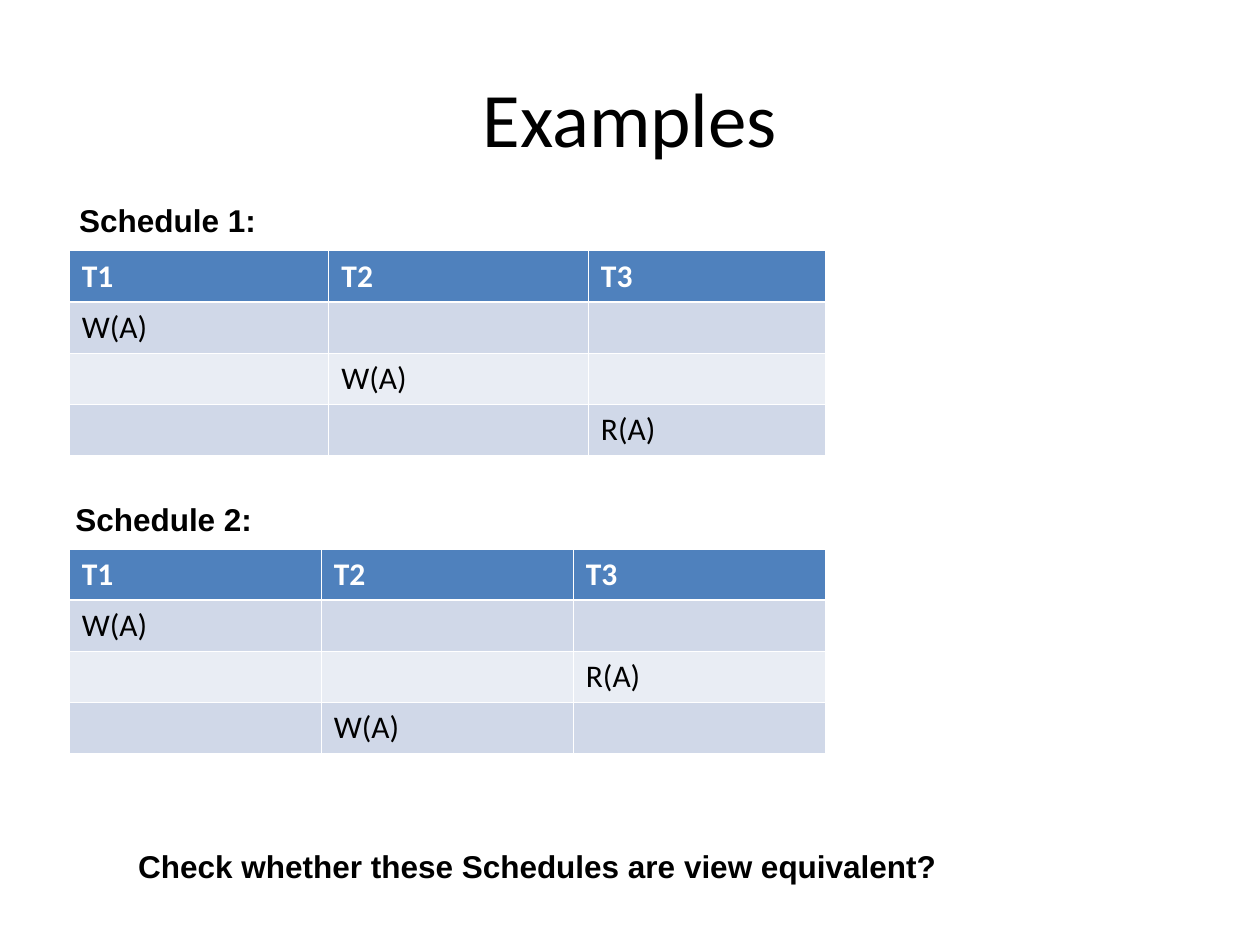
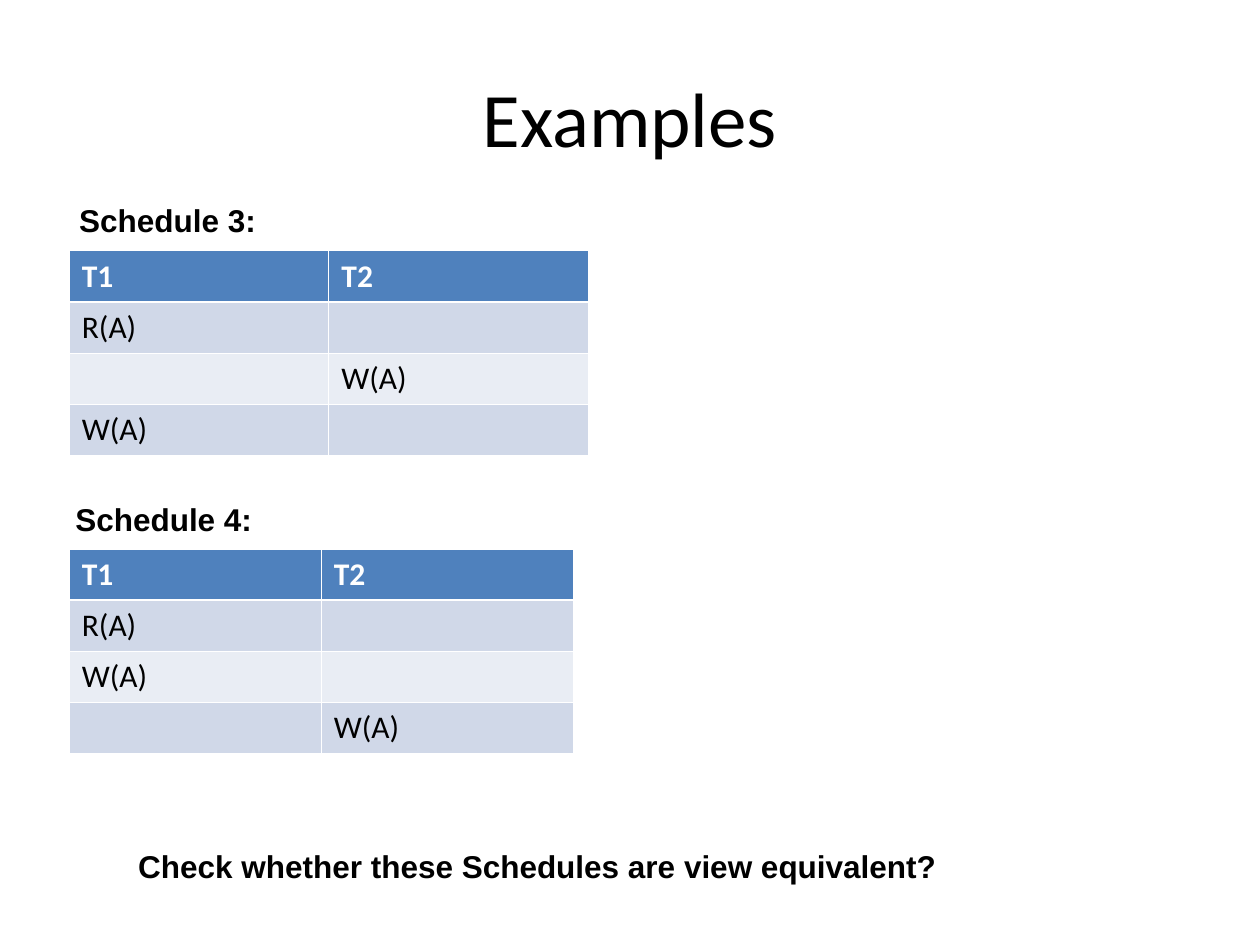
from lxml.etree import SubElement
from pptx import Presentation
from pptx.dml.color import RGBColor
from pptx.enum.text import MSO_ANCHOR, PP_ALIGN
from pptx.oxml.ns import qn
from pptx.util import Inches, Pt

# Content: each schedule is a label, its transactions and (transaction, operation) steps
TITLE = "Examples"
QUESTION = "Check whether these Schedules are view equivalent?"
SLIDES = [
    [
        ("Schedule 1:", ["T1", "T2", "T3"],
         [("T1", "W(A)"), ("T2", "W(A)"), ("T3", "R(A)")]),
        ("Schedule 2:", ["T1", "T2", "T3"],
         [("T1", "W(A)"), ("T3", "R(A)"), ("T2", "W(A)")]),
    ],
    [
        ("Schedule 3:", ["T1", "T2"],
         [("T1", "R(A)"), ("T2", "W(A)"), ("T1", "W(A)")]),
        ("Schedule 4:", ["T1", "T2"],
         [("T1", "R(A)"), ("T1", "W(A)"), ("T2", "W(A)")]),
    ],
]

# Shared style
BLACK = RGBColor(0x00, 0x00, 0x00)
WHITE = RGBColor(0xFF, 0xFF, 0xFF)
HEADER_BLUE = RGBColor(0x4F, 0x81, 0xBD)
BANDS = [RGBColor(0xE9, 0xED, 0xF4), RGBColor(0xD0, 0xD8, 0xE8)]
TITLE_FONT, LABEL_FONT = "Calibri", "Arial"
THIN, THICK = 0.45, 1.47

# Upper and lower place: label box, table top, column widths (inches)
TABLE_LEFT = 0.55
ROW_HEIGHT = 0.405
PLACES = [
    ((0.53, 1.55, 4.01, 0.7), 1.99, [2.06, 2.06, 1.88]),
    ((0.5, 3.92, 7.17, 0.4), 4.36, [2, 2, 2]),
]
QUESTION_BOX = (0.53, 6.67, 7.47, 0.4)


def style(para, font, size, color, bold=False):
    for span in para.runs:
        span.font.name = font
        span.font.size = Pt(size)
        span.font.bold = bold
        span.font.color.rgb = color


def add_title(page):
    title = page.shapes.title
    title.left, title.top, title.width, title.height = map(Inches, (0.5, 0.3, 9, 1.25))
    title.text_frame.text = TITLE
    title.text_frame.vertical_anchor = MSO_ANCHOR.MIDDLE
    para = title.text_frame.paragraphs[0]
    para.alignment = PP_ALIGN.CENTER
    style(para, TITLE_FONT, 44, BLACK)


def add_label(page, place, text, align=PP_ALIGN.LEFT):
    box = page.shapes.add_textbox(*map(Inches, place))
    box.text_frame.word_wrap = True
    box.text_frame.text = text
    para = box.text_frame.paragraphs[0]
    para.alignment = align
    style(para, LABEL_FONT, 18, BLACK, bold=True)


def set_borders(cell, row):
    """White lines all round, thicker between the header and the body."""
    widths = {"L": THIN, "R": THIN,
              "T": THICK if row == 1 else THIN,
              "B": THICK if row == 0 else THIN}
    properties = cell._tc.get_or_add_tcPr()
    for side, width in widths.items():
        line = SubElement(properties, qn(f"a:ln{side}"), w=str(int(Pt(width))))
        fill = SubElement(line, qn("a:solidFill"))
        SubElement(fill, qn("a:srgbClr"), val=str(WHITE))


def add_schedule_table(page, top, widths, transactions, steps):
    rows = [transactions] + [
        [operation if name == owner else "" for name in transactions]
        for owner, operation in steps
    ]
    widths = widths[:len(transactions)]
    table = page.shapes.add_table(
        len(rows), len(widths), Inches(TABLE_LEFT), Inches(top),
        Inches(sum(widths)), Inches(ROW_HEIGHT * len(rows))).table
    for column, width in zip(table.columns, widths):
        column.width = Inches(width)
    for r, texts in enumerate(rows):
        table.rows[r].height = Inches(ROW_HEIGHT)
        header = r == 0
        for c, text in enumerate(texts):
            cell = table.cell(r, c)
            set_borders(cell, r)
            cell.fill.solid()
            cell.fill.fore_color.rgb = HEADER_BLUE if header else BANDS[r % 2]
            if text:
                cell.text_frame.text = text
                style(cell.text_frame.paragraphs[0], TITLE_FONT, 18,
                      WHITE if header else BLACK, bold=header)


def main():
    deck = Presentation()
    deck.slide_width, deck.slide_height = Inches(10), Inches(7.5)
    title_only = deck.slide_layouts[5]
    for schedules in SLIDES:
        page = deck.slides.add_slide(title_only)
        add_title(page)
        for (label, transactions, steps), (place, top, widths) in zip(schedules, PLACES):
            add_schedule_table(page, top, widths, transactions, steps)
            add_label(page, place, label)
        add_label(page, QUESTION_BOX, QUESTION, PP_ALIGN.CENTER)
    deck.save("out.pptx")


if __name__ == "__main__":
    main()
